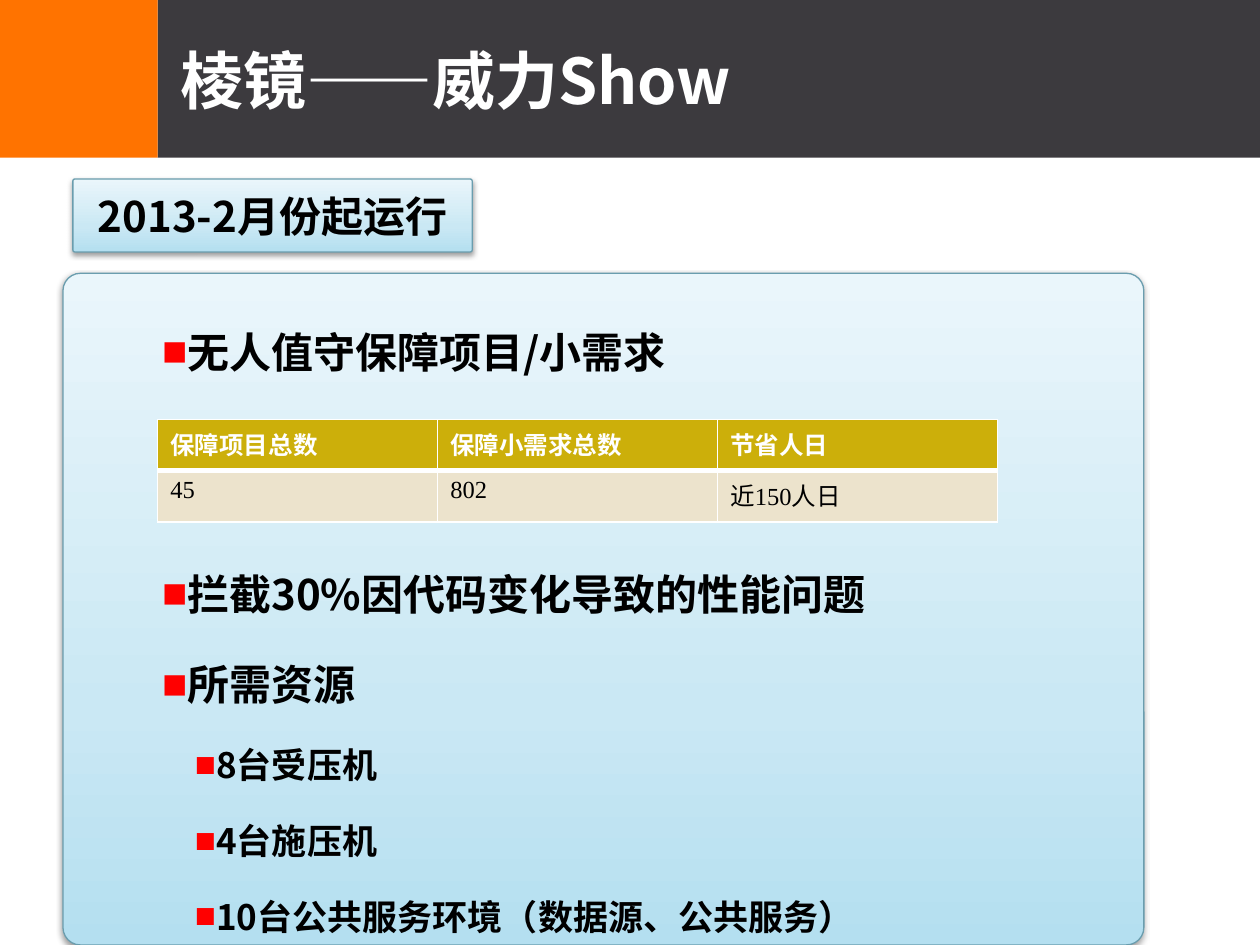
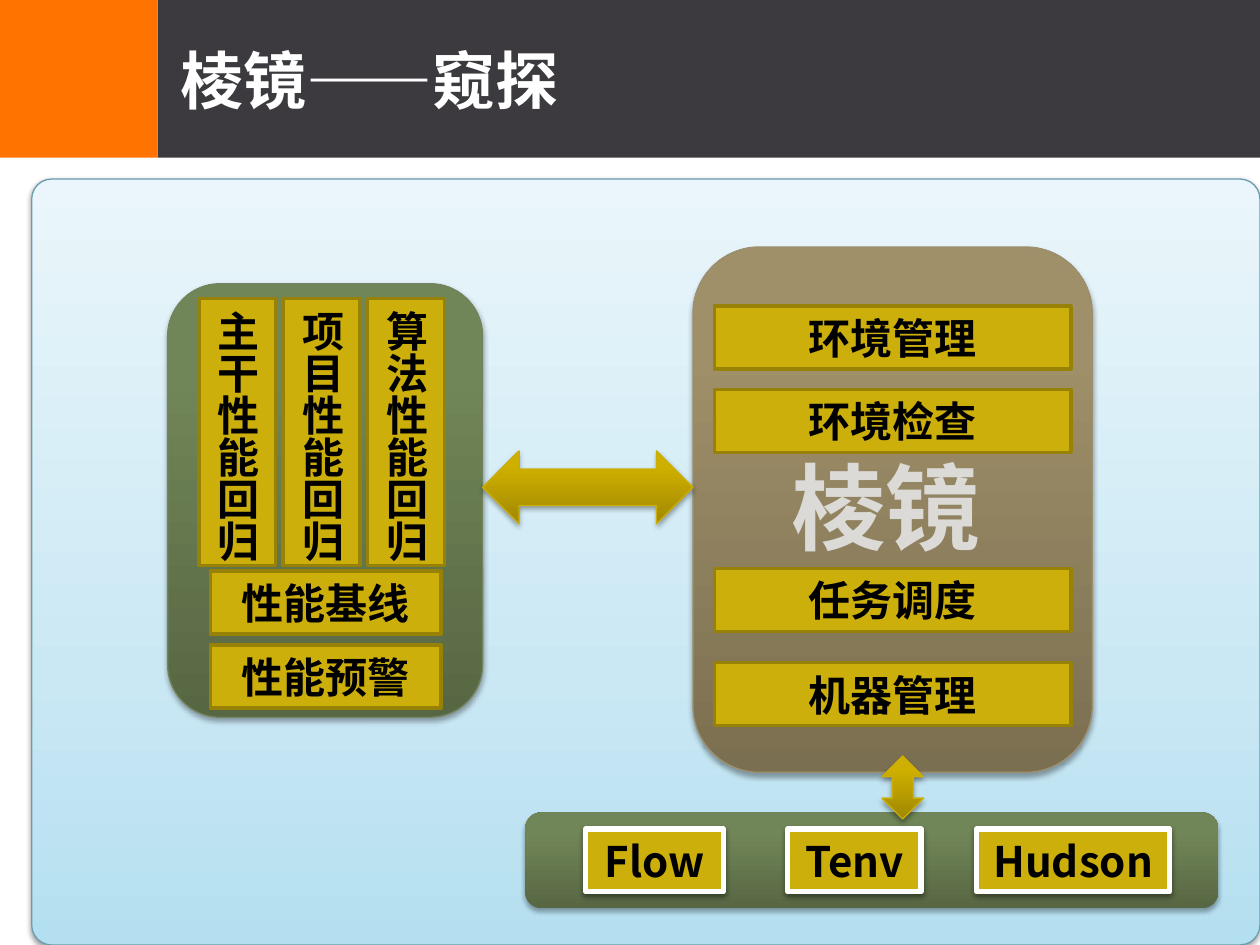
"""Builds two slides on the results and the architecture of a performance test platform."""
from dataclasses import dataclass
from typing import NamedTuple, Optional

from lxml import etree
from pptx import Presentation
from pptx import util as u
from pptx.dml.color import RGBColor
from pptx.enum import shapes, text
from pptx.oxml import ns


class Box(NamedTuple):
    """Left, top, width and height in centimetres."""
    left: float
    top: float
    width: float
    height: float

    def lengths(self) -> list:
        """Return the four values as lengths."""
        return [u.Cm(value) for value in self]


class Gradient(NamedTuple):
    """Stops as percent and colour, running from bottom to top."""
    stops: tuple


class Shadow(NamedTuple):
    """Opacity in percent, with blur and distance in points."""
    opacity: int
    blur: float
    distance: float


class Line(NamedTuple):
    """Outline colour and width in points."""
    color: str
    width: float


@dataclass(frozen=True)
class Theme:
    """Colours, fonts and type sizes of both slides."""
    sans: str = "Noto Sans CJK SC"
    serif: str = "Times New Roman"
    band: str = "3C3A3E"
    accent: str = "FF7300"
    white: str = "FFFFFF"
    black: str = "000000"
    bullet: str = "FF0000"
    gold: str = "CCAF0A"
    cell: str = "ECE3CC"
    pale: str = "DCDAD7"
    sky: Gradient = Gradient(((0, "B4DFF0"), (35, "CAE8F4"), (100, "EAF6FB")))
    green: Gradient = Gradient(((0, "576743"), (80, "718658"), (100, "718857")))
    brown: Gradient = Gradient(((0, "7B6F51"), (80, "9F9069"), (100, "A19169")))
    amber: Gradient = Gradient(((0, "A08800"), (80, "CFB000"), (100, "D0B100")))
    sky_line: Line = Line("6A9DAE", 0.75)
    green_line: Line = Line("72835D", 0.75)
    brown_line: Line = Line("9C8F6F", 0.75)
    amber_line: Line = Line("CCAE05", 0.75)
    gold_line: Line = Line("978107", 2)
    white_line: Line = Line("FFFFFF", 3)
    soft: Shadow = Shadow(38, 3.1, 1.6)
    deep: Shadow = Shadow(35, 3.1, 1.8)
    title_size: int = 36
    hero_size: int = 54
    body_size: int = 24
    sub_size: int = 20
    table_size: int = 14


THEME = Theme()


@dataclass(frozen=True)
class Block:
    """A preset shape with its look and optional label."""
    box: Box
    fill: object
    line: Optional[Line] = None
    shadow: Optional[Shadow] = None
    label: str = ""
    kind: object = shapes.MSO_SHAPE.RECTANGLE
    corner: Optional[float] = None
    vertical: bool = False


@dataclass(frozen=True)
class BulletLevel:
    """Type size, line pitch and indents of one bullet level."""
    size: int
    pitch: float
    margin: float
    hanging: float


class Bullet(NamedTuple):
    """A bullet's words, its level and the space before it in points."""
    words: str
    level: int = 0
    before: float = 0


LEVELS = (BulletLevel(THEME.body_size, 52, 1.83, 0.51),
          BulletLevel(THEME.sub_size, 43.4, 2.41, 0.43))
BULLETS = (
    Bullet("无人值守保障项目/小需求"),
    Bullet("拦截30%因代码变化导致的性能问题", before=86),
    Bullet("所需资源"),
    Bullet("8台受压机", 1),
    Bullet("4台施压机", 1),
    Bullet("10台公共服务环境（数据源、公共服务）", 1),
)
SAVINGS = (("保障项目总数", "保障小需求总数", "节省人日"), ("45", "802", "近150人日"))


def add_xml(parent, tag: str, **attributes):
    """Append a drawing element and return it."""
    return etree.SubElement(parent, ns.qn(f"a:{tag}"), attributes)


def style_runs(paragraph, size: int, color: str, bold: bool = True, latin: str = THEME.sans) -> None:
    """Format every run of a paragraph."""
    for run in paragraph.runs:
        run.font.size = u.Pt(size)
        run.font.bold = bold
        run.font.color.rgb = RGBColor.from_string(color)
        run.font.name = latin
        add_xml(run.font._element, "ea", typeface=THEME.sans)


def paint(shape, fill: object) -> None:
    """Fill a shape with a solid colour or a gradient."""
    if not isinstance(fill, Gradient):
        shape.fill.solid()
        shape.fill.fore_color.rgb = RGBColor.from_string(fill)
        return
    shape.fill.gradient()
    shape.fill.gradient_angle = 90
    stop_list = shape._element.spPr.find(".//" + ns.qn("a:gsLst"))
    for stop in list(stop_list):
        stop_list.remove(stop)
    for percent, color in fill.stops:
        stop = add_xml(stop_list, "gs", pos=str(percent * 1000))
        add_xml(stop, "srgbClr", val=color)


def cast_shadow(shape, shadow: Optional[Shadow]) -> None:
    """Drop the inherited shadow and add the given one."""
    shape.shadow.inherit = False
    if shadow:
        effects = shape._element.spPr.find(ns.qn("a:effectLst"))
        outer = add_xml(effects, "outerShdw", blurRad=str(u.Pt(shadow.blur)),
                        dist=str(u.Pt(shadow.distance)), dir="5400000", rotWithShape="0")
        color = add_xml(outer, "srgbClr", val=THEME.black)
        add_xml(color, "alpha", val=str(shadow.opacity * 1000))


def draw_block(slide, block: Block) -> None:
    """Draw one block with its label."""
    shape = slide.shapes.add_shape(block.kind, *block.box.lengths())
    if block.corner is not None:
        shape.adjustments[0] = block.corner
    paint(shape, block.fill)
    if block.line:
        shape.line.color.rgb = RGBColor.from_string(block.line.color)
        shape.line.width = u.Pt(block.line.width)
    else:
        shape.line.fill.background()
    cast_shadow(shape, block.shadow)
    if block.label:
        frame = shape.text_frame
        frame.text = block.label
        frame.word_wrap = False
        frame.vertical_anchor = text.MSO_ANCHOR.MIDDLE
        if block.vertical:
            frame._txBody.bodyPr.set("vert", "eaVert")
        frame.paragraphs[0].alignment = text.PP_ALIGN.CENTER
        style_runs(frame.paragraphs[0], THEME.body_size, THEME.black)


def draw_text(slide, box: Box, words: str, size: int, color: str) -> object:
    """Draw a vertically centred line of text and return its frame."""
    frame = slide.shapes.add_textbox(*box.lengths()).text_frame
    frame.word_wrap = True
    frame.vertical_anchor = text.MSO_ANCHOR.MIDDLE
    frame.text = words
    style_runs(frame.paragraphs[0], size, color)
    return frame


def sky_panel(box: Box, label: str = "") -> Block:
    """Describe a pale blue panel."""
    return Block(box, THEME.sky, THEME.sky_line, THEME.soft, label,
                 shapes.MSO_SHAPE.ROUNDED_RECTANGLE, 0.026)


def group_panel(box: Box, fill: Gradient, line: Optional[Line]) -> Block:
    """Describe a rounded panel that holds modules."""
    return Block(box, fill, line, THEME.deep, kind=shapes.MSO_SHAPE.ROUNDED_RECTANGLE)


def module(box: Box, label: str, vertical: bool = False) -> Block:
    """Describe a gold module."""
    return Block(box, THEME.gold, THEME.gold_line, label=label, vertical=vertical)


def start_slide(presentation, title: str):
    """Add a blank slide with the header band and title."""
    slide = presentation.slides.add_slide(presentation.slide_layouts[6])
    draw_block(slide, Block(Box(3.18, 0, 22.22, 3.18), THEME.band))
    draw_block(slide, Block(Box(0, 0, 3.18, 3.18), THEME.accent))
    draw_text(slide, Box(3.38, 0, 21.59, 3.18), title, THEME.title_size, THEME.white)
    return slide


def draw_bullets(slide, box: Box) -> None:
    """Draw the list with red square bullets."""
    frame = slide.shapes.add_textbox(*box.lengths()).text_frame
    frame.word_wrap = True
    for index, bullet in enumerate(BULLETS):
        paragraph = frame.add_paragraph() if index else frame.paragraphs[0]
        level = LEVELS[bullet.level]
        paragraph.text = bullet.words
        paragraph.level = bullet.level
        paragraph.line_spacing = u.Pt(level.pitch)
        if bullet.before:
            paragraph.space_before = u.Pt(bullet.before)
        properties = paragraph._p.get_or_add_pPr()
        properties.set("marL", str(u.Cm(level.margin)))
        properties.set("indent", str(-u.Cm(level.hanging)))
        add_xml(add_xml(properties, "buClr"), "srgbClr", val=THEME.bullet)
        add_xml(properties, "buFont", typeface=THEME.serif)
        add_xml(properties, "buChar", char="■")
        style_runs(paragraph, level.size, THEME.black)


def draw_table(slide, box: Box) -> None:
    """Draw the savings table with white rules."""
    table = slide.shapes.add_table(len(SAVINGS), len(SAVINGS[0]), *box.lengths()).table
    for row_index, row in enumerate(SAVINGS):
        header = row_index == 0
        for column_index, words in enumerate(row):
            cell = table.cell(row_index, column_index)
            cell.text = words
            style_runs(cell.text_frame.paragraphs[0], THEME.table_size,
                       THEME.white if header else THEME.black, header, THEME.serif)
            for side in "LRTB":
                heavy = side == ("B" if header else "T")
                rule = add_xml(cell._tc.get_or_add_tcPr(), f"ln{side}", w=str(u.Pt(3 if heavy else 1)))
                add_xml(add_xml(rule, "solidFill"), "srgbClr", val=THEME.white)
            cell.fill.solid()
            cell.fill.fore_color.rgb = RGBColor.from_string(THEME.gold if header else THEME.cell)


def build_results(presentation) -> None:
    """Build the slide on the results."""
    slide = start_slide(presentation, "棱镜——威力Show")
    draw_block(slide, sky_panel(Box(1.47, 3.61, 8.05, 1.47), "2013-2月份起运行"))
    draw_block(slide, sky_panel(Box(1.27, 5.51, 21.79, 13.54)))
    draw_bullets(slide, Box(1.7, 5.64, 21.16, 13.41))
    draw_table(slide, Box(3.18, 8.46, 16.93, 2.06))


def build_architecture(presentation) -> None:
    """Build the slide on the architecture."""
    slide = start_slide(presentation, "棱镜——窥探")
    blocks = [sky_panel(Box(0.64, 3.61, 24.76, 15.44)),
              group_panel(Box(3.38, 5.72, 6.35, 8.74), THEME.green, THEME.green_line),
              group_panel(Box(13.97, 4.98, 8.05, 10.59), THEME.brown, THEME.brown_line),
              group_panel(Box(10.59, 16.38, 13.97, 1.93), THEME.green, None)]
    for index, label in enumerate(("主干性能回归", "项目性能回归", "算法性能回归")):
        blocks.append(module(Box(4.01 + 1.7 * index, 6.02, 1.55, 5.38), label, True))
    for top, label in ((11.51, "性能基线"), (13, "性能预警")):
        blocks.append(module(Box(4.24, top, 4.65, 1.27), label))
    for top, label in ((6.17, "环境管理"), (7.85, "环境检查"), (11.46, "任务调度"), (13.36, "机器管理")):
        blocks.append(module(Box(14.4, top, 7.19, 1.27), label))
    for left, width, label in ((11.81, 2.77, "Flow"), (15.88, 2.69, "Tenv"), (19.69, 3.89, "Hudson")):
        blocks.append(Block(Box(left, 16.71, width, 1.27), THEME.gold, THEME.white_line, THEME.soft, label))
    for kind, box in ((shapes.MSO_SHAPE.UP_DOWN_ARROW, Box(17.78, 15.24, 0.84, 1.27)),
                      (shapes.MSO_SHAPE.LEFT_RIGHT_ARROW, Box(9.73, 9.09, 4.24, 1.47))):
        blocks.append(Block(box, THEME.amber, THEME.amber_line, THEME.deep, kind=kind))
    for block in blocks:
        draw_block(slide, block)
    platform = draw_text(slide, Box(15.67, 8.92, 4.37, 2.57), "棱镜", THEME.hero_size, THEME.pale)
    platform.margin_left = platform.margin_right = 0
    platform.paragraphs[0].alignment = text.PP_ALIGN.CENTER


def main() -> None:
    """Build and save the presentation."""
    presentation = Presentation()
    presentation.slide_width, presentation.slide_height = u.Cm(25.4), u.Cm(19.05)
    build_results(presentation)
    build_architecture(presentation)
    presentation.save("out.pptx")


if __name__ == "__main__":
    main()
